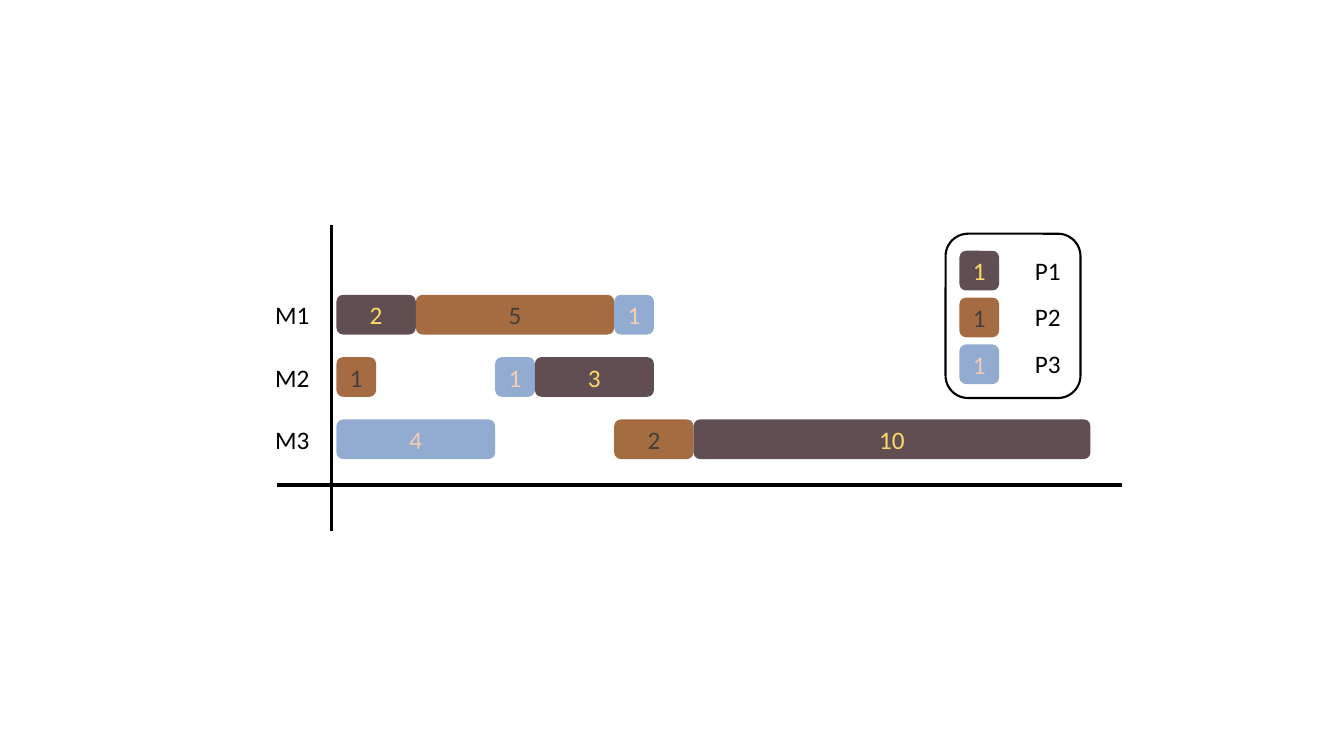
from dataclasses import dataclass

from lxml import etree
from pptx import Presentation
from pptx.dml.color import RGBColor
from pptx.enum import shapes, text
from pptx.oxml import ns
from pptx.util import Cm, Pt


@dataclass(frozen=True)
class Theme:
    font: str = "Calibri"
    size: float = 18
    ink: str = "000000"
    axis_width: float = 2.5
    frame_width: float = 1.5


THEME = Theme()

# Process: (fill colour, text colour)
PROCESSES = {
    "P1": ("614E52", "FFD966"),
    "P2": ("A56C41", "404040"),
    "P3": ("92ACD1", "F8CBAD"),
}

# Machine: (process, start, duration), in time units
SCHEDULE = {
    "M1": [("P1", 0, 2), ("P2", 2, 5), ("P3", 7, 1)],
    "M2": [("P2", 0, 1), ("P3", 4, 1), ("P1", 5, 3)],
    "M3": [("P3", 0, 4), ("P2", 7, 2), ("P1", 9, 10)],
}

# All lengths are in centimetres; one time unit is one centimetre wide.
UNIT = 1
TIME_ZERO = 8.48
ROW_TOP, ROW_PITCH = 7.43, 1.57
LEGEND_LEFT, LEGEND_TOP, LEGEND_PITCH = 24.18, 6.32, 1.18
LABEL_WIDTH, LABEL_HEIGHT = 3.4, 1.02


def style_text(shape, content, color, alignment):
    shape.text_frame.text = content
    paragraph = shape.text_frame.paragraphs[0]
    paragraph.alignment = alignment
    font = paragraph.runs[0].font
    font.name = THEME.font
    font.size = Pt(THEME.size)
    font.color.rgb = RGBColor.from_string(color)


def add_axis(slide, x1, y1, x2, y2):
    axis = slide.shapes.add_connector(
        shapes.MSO_CONNECTOR.STRAIGHT, Cm(x1), Cm(y1), Cm(x2), Cm(y2))
    axis.line.color.rgb = RGBColor.from_string(THEME.ink)
    axis.line.width = Pt(THEME.axis_width)
    etree.SubElement(axis._element.spPr, ns.qn("a:effectLst"))


def add_rounded(slide, left, top, width, height):
    shape = slide.shapes.add_shape(
        shapes.MSO_SHAPE.ROUNDED_RECTANGLE,
        Cm(left), Cm(top), Cm(width), Cm(height))
    shape.shadow.inherit = False
    return shape


def add_task(slide, process, left, top, duration):
    """Draw a bar as long as its duration, with the duration as its text."""
    fill, ink = PROCESSES[process]
    bar = add_rounded(slide, left, top, duration * UNIT, UNIT)
    bar.fill.solid()
    bar.fill.fore_color.rgb = RGBColor.from_string(fill)
    bar.line.fill.background()
    style_text(bar, str(duration), ink, text.PP_ALIGN.CENTER)


def add_label(slide, content, left, top, alignment):
    label = slide.shapes.add_textbox(
        Cm(left), Cm(top), Cm(LABEL_WIDTH), Cm(LABEL_HEIGHT))
    label.text_frame.word_wrap = True
    label.text_frame.auto_size = text.MSO_AUTO_SIZE.SHAPE_TO_FIT_TEXT
    style_text(label, content, THEME.ink, alignment)


def add_schedule(slide):
    for row, (machine, tasks) in enumerate(SCHEDULE.items()):
        top = ROW_TOP + row * ROW_PITCH
        for process, start, duration in tasks:
            add_task(slide, process, TIME_ZERO + start * UNIT, top, duration)
        add_label(slide, machine, 4.65, top, text.PP_ALIGN.RIGHT)


def add_legend(slide):
    for row, process in enumerate(PROCESSES):
        top = LEGEND_TOP + row * LEGEND_PITCH
        add_task(slide, process, LEGEND_LEFT, top, 1)
        add_label(slide, process, 25.83, top - 0.02, text.PP_ALIGN.LEFT)
    frame = add_rounded(slide, 23.83, 5.89, 3.4, 4.14)
    frame.fill.background()
    frame.line.color.rgb = RGBColor.from_string(THEME.ink)
    frame.line.width = Pt(THEME.frame_width)


def main():
    presentation = Presentation()
    presentation.slide_width = Cm(33.87)
    presentation.slide_height = Cm(19.05)
    slide = presentation.slides.add_slide(presentation.slide_layouts[6])
    add_axis(slide, 8.36, 5.66, 8.36, 13.39)
    add_axis(slide, 6.99, 12.22, 28.27, 12.22)
    add_schedule(slide)
    add_legend(slide)
    presentation.save("out.pptx")


if __name__ == "__main__":
    main()
